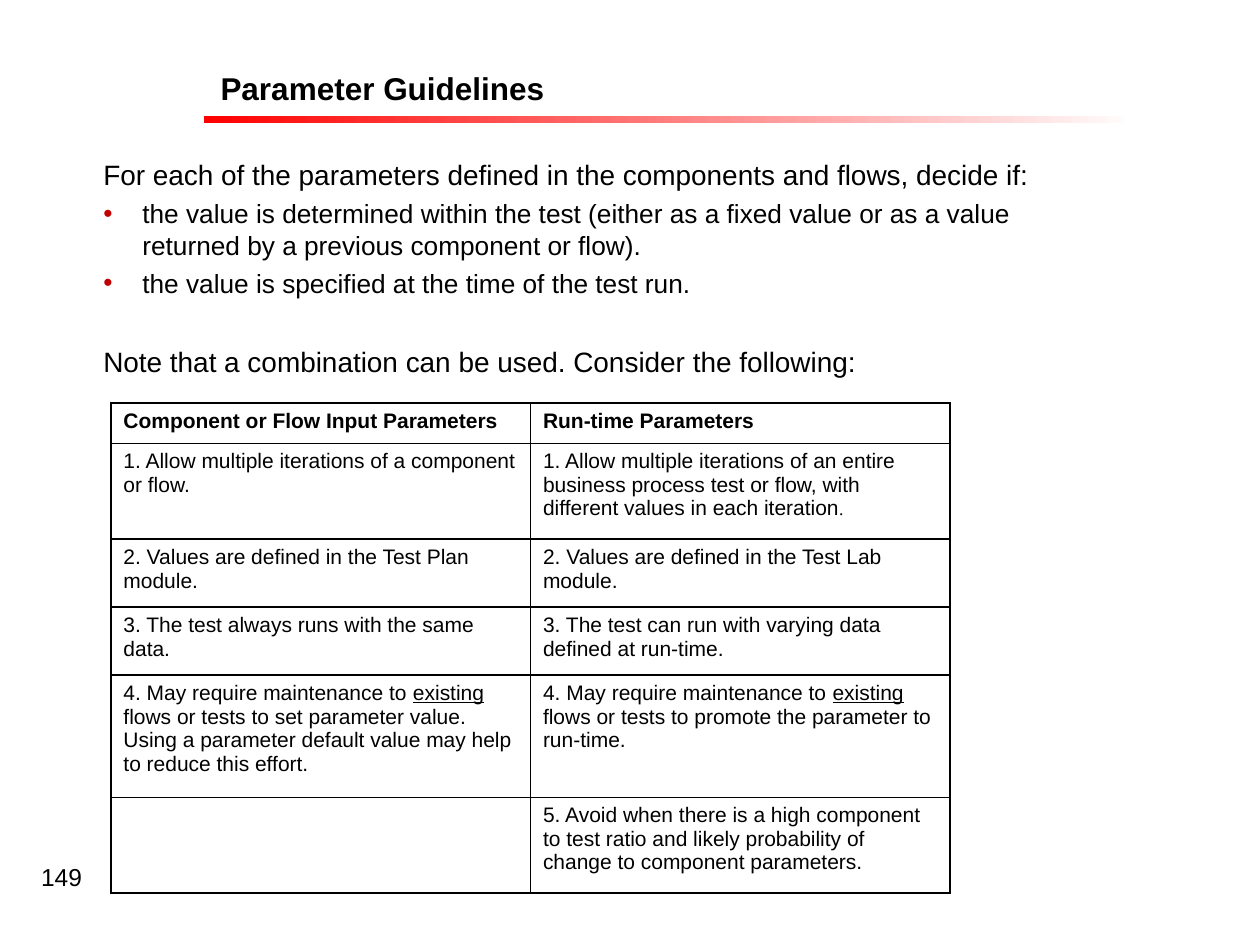
from lxml.etree import SubElement
from pptx import Presentation
from pptx.dml.color import RGBColor
from pptx.enum.shapes import MSO_SHAPE
from pptx.enum.text import MSO_ANCHOR, MSO_AUTO_SIZE, PP_ALIGN
from pptx.oxml.ns import qn
from pptx.util import Inches, Pt

BODY = [
    ("For each of the parameters defined in the components and flows, decide if:", 16, False, 0),
    ("the value is determined within the test (either as a fixed value or as a value "
     "returned by a previous component or flow).", 15, True, 3.7),
    ("the value is specified at the time of the test run.", 15, True, 3.7),
    ("Note that a combination can be used. Consider the following:", 16, False, 26),
]

PLAIN, BOLD, UNDERLINE = {}, {"bold": True}, {"underline": True}
SMALL_SERIF = {"size": 10, "font": "Times New Roman"}
MAINTENANCE = [("4. May require maintenance to ", PLAIN), ("existing", UNDERLINE)]
ROWS = [
    (3.2, [("Component or Flow Input Parameters", BOLD)], [("Run-time Parameters", BOLD)]),
    (7.6, [("1. Allow multiple iterations of a component or flow.", PLAIN)],
     [("1. Allow multiple iterations of an entire business process test or flow, "
       "with different values in each iteration", PLAIN), (".", SMALL_SERIF)]),
    (5.4, [("2. Values are defined in the Test Plan module.", PLAIN)],
     [("2. Values are defined in the Test Lab module.", PLAIN)]),
    (5.4, [("3. The test always runs with the same data.", PLAIN)],
     [("3. The test can run with varying data defined at run-time.", PLAIN)]),
    (9.7, MAINTENANCE + [(" flows or tests to set parameter value. Using a parameter default "
                          "value may help to reduce this effort.", PLAIN)],
     MAINTENANCE + [(" flows or tests to promote the parameter to run-time.", PLAIN)]),
    (7.6, [], [("5. Avoid when there is a high component to test ratio and likely probability "
                "of change to component parameters.", PLAIN)]),
]


def color(value):
    return RGBColor.from_string(value)


class SlideBuilder:
    font = "Arial"
    ink = "000000"
    bullet_ink = "C20000"
    columns = 100
    rows = 75

    def __init__(self, deck):
        self.deck = deck
        self.page = deck.slides.add_slide(deck.slide_layouts[1])

    def across(self, count):
        return round(self.deck.slide_width * count / self.columns)

    def down(self, count):
        return round(self.deck.slide_height * count / self.rows)

    def area(self, left, top, width, height):
        return self.across(left), self.down(top), self.across(width), self.down(height)

    def place(self, box, area):
        box.left, box.top, box.width, box.height = self.area(*area)
        box.text_frame.auto_size = MSO_AUTO_SIZE.NONE
        box.text_frame.word_wrap = True

    def style(self, span, size, bold=False, underline=False, font=None):
        span.font.name = font or self.font
        span.font.size = Pt(size)
        span.font.bold = bold
        span.font.underline = underline
        span.font.color.rgb = color(self.ink)

    def gradient_bar(self, area, start, end):
        bar = self.page.shapes.add_shape(MSO_SHAPE.RECTANGLE, *self.area(*area))
        bar.shadow.inherit = False
        bar.line.fill.background()
        bar.fill.gradient()
        bar.fill.gradient_angle = 0
        for stop, value in zip(bar.fill.gradient_stops, (start, end)):
            stop.color.rgb = color(value)

    def title(self, area, text):
        box = self.page.shapes.title
        self.place(box, area)
        box.text_frame.text = text
        box.text_frame.vertical_anchor = MSO_ANCHOR.MIDDLE
        para = box.text_frame.paragraphs[0]
        para.alignment = PP_ALIGN.LEFT
        self.style(para.runs[0], 18, bold=True)

    def number(self, area, text):
        box = self.page.shapes.add_textbox(*self.area(*area))
        self.place(box, area)
        box.text_frame.text = text
        para = box.text_frame.paragraphs[0]
        para.alignment = PP_ALIGN.RIGHT
        self.style(para.runs[0], 14)

    def body(self, area, items):
        box = self.page.placeholders[1]
        self.place(box, area)
        frame = box.text_frame
        frame.margin_top = Inches(0.07)
        frame.text = "\n".join(item[0] for item in items)
        for para, (_, size, bulleted, gap) in zip(frame.paragraphs, items):
            para.level = 1
            para.space_before = Pt(gap)
            self.style(para.runs[0], size)
            self.bullet(para, bulleted)

    def bullet(self, para, visible):
        properties = para._p.get_or_add_pPr()
        properties.set("marL", str(Inches(0.76)))
        properties.set("indent", str(Inches(-0.31)))
        if visible:
            ink = SubElement(properties, qn("a:buClr"))
            SubElement(ink, qn("a:srgbClr"), val=self.bullet_ink)
            SubElement(properties, qn("a:buFont"), typeface=self.font)
            SubElement(properties, qn("a:buChar"), char="•")
        else:
            SubElement(properties, qn("a:buNone"))

    def table(self, left, top, width, rows):
        height = sum(row[0] for row in rows)
        frame = self.page.shapes.add_table(len(rows), 2, *self.area(left, top, width, height))
        table = frame.table
        table.first_row = table.horz_banding = False
        for index, (row_height, *contents) in enumerate(rows):
            table.rows[index].height = self.down(row_height)
            for cell, parts in zip(table.rows[index].cells, contents):
                self.cell(cell, parts)

    def cell(self, cell, parts):
        properties = cell._tc.get_or_add_tcPr()
        for side in ("a:lnL", "a:lnR", "a:lnT", "a:lnB"):
            border = SubElement(properties, qn(side), w=str(Pt(1)))
            fill = SubElement(border, qn("a:solidFill"))
            SubElement(fill, qn("a:srgbClr"), val=self.ink)
        cell.fill.background()
        para = cell.text_frame.paragraphs[0]
        for text, look in parts:
            span = para.add_run()
            span.text = text
            self.style(span, **{"size": 12, **look})


def main():
    deck = Presentation()
    deck.slide_width, deck.slide_height = Inches(10), Inches(7.5)
    slide = SlideBuilder(deck)
    slide.gradient_bar((16.2, 9.2, 73, 0.6), "FF0000", "FFFBFB")
    slide.number((0, 67.9, 7.5, 5.2), "149")
    slide.title((16.5, 6.1, 69.3, 1.8), "Parameter Guidelines")
    slide.body((2.7, 11.8, 85, 58), BODY)
    slide.table(8.8, 32, 66.6, ROWS)
    deck.save("out.pptx")


if __name__ == "__main__":
    main()
